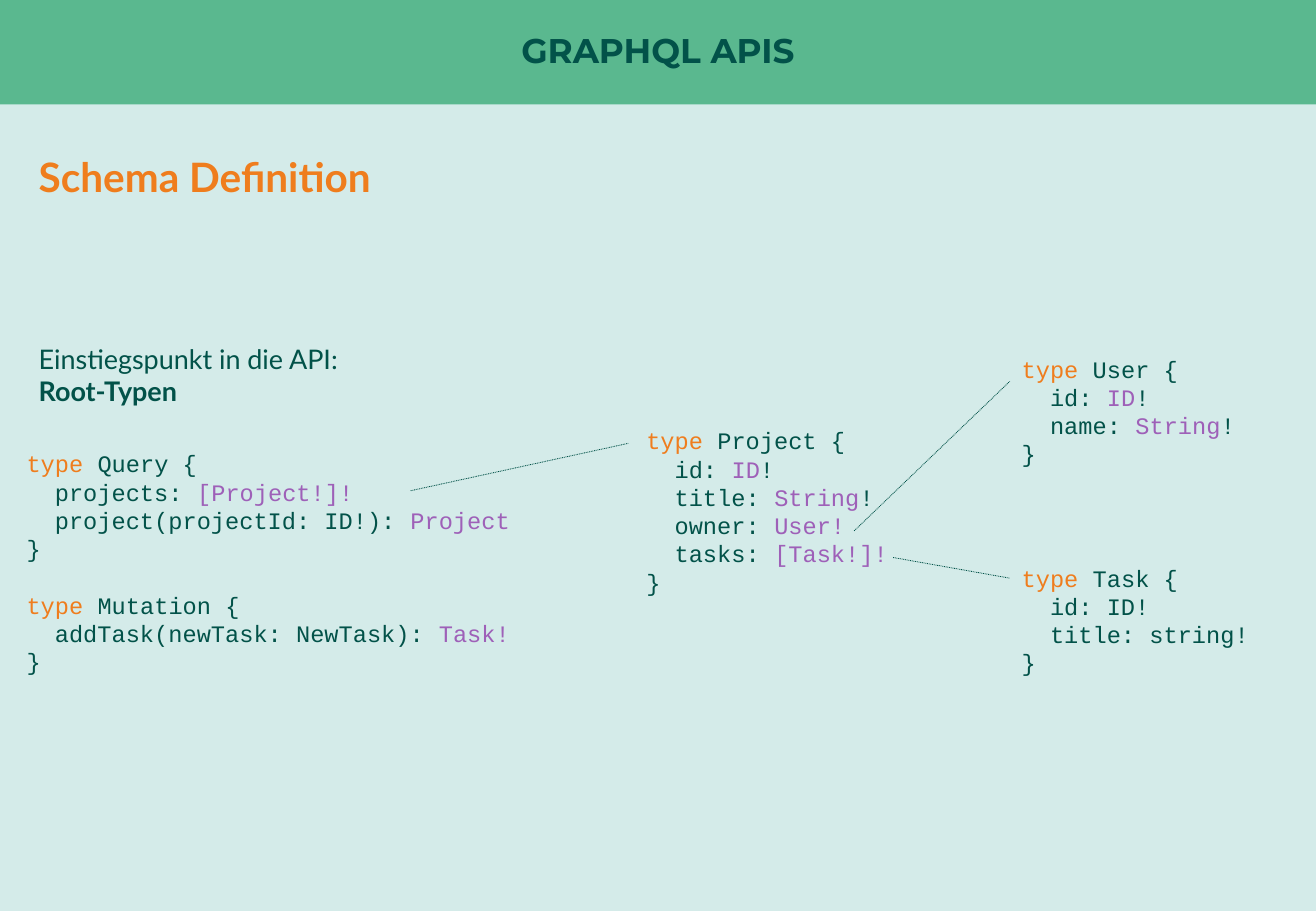
"""Build the slide that shows the root types of a GraphQL schema."""
from lxml import etree
from pptx import Presentation
from pptx import util as u
from pptx.dml.color import RGBColor
from pptx.enum import dml, shapes, text
from pptx.oxml import ns

GREEN, ORANGE, PURPLE = "025249", "EF7D1D", "9E60B8"
CODE_LINE = u.Pt(16.75)


def colour(value):
    return RGBColor.from_string(value)


def add_text(place, lines, font, size, bold=False):
    box = page.shapes.add_textbox(*[u.Inches(length) for length in place])
    frame = box.text_frame
    frame.word_wrap = True
    for index, spans in enumerate(lines):
        para = frame.paragraphs[0] if index == 0 else frame.add_paragraph()
        para.font.name = font
        para.font.size = u.Pt(size)
        para.font.bold = bold
        for words, ink in spans:
            span = para.add_run()
            span.text = words
            span.font.color.rgb = colour(ink)
    return frame


deck = Presentation()
deck.slide_width, deck.slide_height = u.Inches(10.83), u.Inches(7.5)
page = deck.slides.add_slide(deck.slide_layouts[6])
page.background.fill.solid()
page.background.fill.fore_color.rgb = colour("D4EBE9")

header = page.shapes.add_shape(
    shapes.MSO_SHAPE.RECTANGLE, 0, 0, deck.slide_width, u.Inches(0.86))
header.shadow.inherit = False
header.fill.solid()
header.fill.fore_color.rgb = colour("5AB88F")
header.line.fill.background()

title = add_text((0, 0, 10.83, 0.86), [[("GRAPHQL APIS", GREEN)]],
                 "Montserrat", 20.3, True)
title.margin_left = title.margin_right = title.margin_top = title.margin_bottom = 0
title.vertical_anchor = text.MSO_ANCHOR.MIDDLE
title.paragraphs[0].alignment = text.PP_ALIGN.CENTER
title.paragraphs[0].line_spacing = 0.9

heading = add_text((0.22, 1.12, 10.39, 0.57), [[("Schema Definition", ORANGE)]],
                   "Lato", 24, True)
heading.paragraphs[0].line_spacing = 1.2

intro = add_text((0.22, 2.77, 2.92, 0.91),
                 [[("Einstiegspunkt in die API:", GREEN)], [("Root-Typen", GREEN)]],
                 "Lato", 16)
intro.paragraphs[1].font.bold = True

keyword = ("type", ORANGE)
closing = [("}", GREEN)]
code_blocks = [
    ((8.31, 2.87, 2.4, 1.04), [
        [keyword, (" User {", GREEN)],
        [("  id: ", GREEN), ("ID", PURPLE), ("!", GREEN)],
        [("  name: ", GREEN), ("String", PURPLE), ("!", GREEN)],
        closing]),
    ((5.22, 3.46, 2.28, 1.51), [
        [keyword, (" Project {", GREEN)],
        [("  id: ", GREEN), ("ID", PURPLE), ("!", GREEN)],
        [("  title: ", GREEN), ("String", PURPLE), ("!", GREEN)],
        [("  owner: ", GREEN), ("User!", PURPLE)],
        [("  tasks: ", GREEN), ("[Task!]!", PURPLE)],
        closing]),
    ((8.31, 4.59, 2.4, 1.04), [
        [keyword, (" Task {", GREEN)],
        [("  id: ID!", GREEN)],
        [("  title: string!", GREEN)],
        closing]),
    ((0.12, 3.65, 4.44, 2.22), [
        [keyword, (" Query {", GREEN)],
        [("  projects: ", GREEN), ("[Project!]!", PURPLE)],
        [("  project(projectId: ID!): ", GREEN), ("Project", PURPLE)],
        closing,
        [keyword, (" Mutation {", GREEN)],
        [("  addTask(newTask: NewTask): ", GREEN), ("Task!", PURPLE)],
        closing]),
]
for place, lines in code_blocks:
    frame = add_text(place, lines, "Courier New", 14)
    for index, para in enumerate(frame.paragraphs):
        para.line_spacing = CODE_LINE
        if index and lines[index][0] == keyword:
            para.space_before = CODE_LINE

links = [(7.03, 4.37, 8.31, 3.14), (7.35, 4.59, 8.31, 4.76), (3.38, 4.04, 5.17, 3.65)]
for ends in links:
    link = page.shapes.add_connector(
        shapes.MSO_CONNECTOR.STRAIGHT, *[u.Inches(length) for length in ends])
    link.line.color.rgb = colour(GREEN)
    link.line.width = u.Pt(0.5)
    link.line.dash_style = dml.MSO_LINE.ROUND_DOT
    etree.SubElement(link._element.spPr, ns.qn("a:effectLst"))

deck.save("out.pptx")
